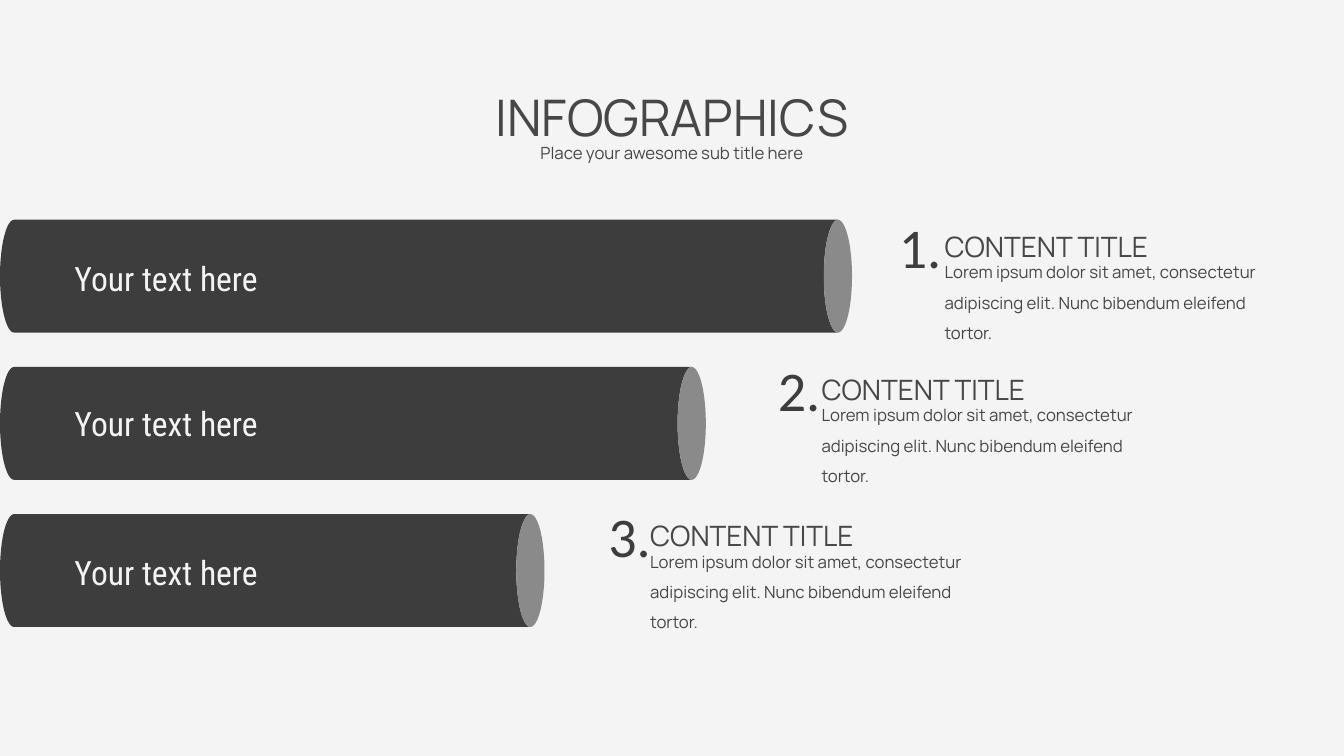
from pptx import Presentation
from pptx import util as u
from pptx.dml import color
from pptx.enum import shapes, text

theme = dict(
    back="F4F4F4", bar="3D3D3D", ink="474747",
    head=36, mark=40, label=24, topic=20, body=12,
    main="Manrope", thin="Roboto Condensed", digit="Calibri",
)
LEFT, CENTER, FULL = text.PP_ALIGN.LEFT, text.PP_ALIGN.CENTER, text.PP_ALIGN.JUSTIFY

deck = Presentation()
deck.slide_width, deck.slide_height = u.Inches(13.33), u.Inches(7.5)
slide = deck.slides.add_slide(deck.slide_layouts[5])
fill = slide.background.fill
fill.solid()
fill.fore_color.rgb = color.RGBColor.from_string(theme["back"])


def place(box, area, words, size, face="main", tint="ink", align=LEFT, gap=1.0):
    box.left, box.top, box.width, box.height = [u.Inches(n) for n in area]
    frame = box.text_frame
    frame.word_wrap = True
    frame.auto_size = text.MSO_AUTO_SIZE.SHAPE_TO_FIT_TEXT
    frame.vertical_anchor = text.MSO_ANCHOR.TOP
    frame.text = words
    para = frame.paragraphs[0]
    para.alignment, para.line_spacing = align, gap
    para.font.size = u.Pt(theme[size])
    para.font.name = theme[face]
    para.font.color.rgb = color.RGBColor.from_string(theme[tint])


def write(area, *args, **style):
    place(slide.shapes.add_textbox(0, 0, 0, 0), area, *args, **style)


side, span = 0.62, 12.09
write((side, 1.27, span, 0.31), "Place your awesome sub title here", "body",
      align=CENTER, gap=1.5)
place(slide.shapes.title, (side, 0.5, span, 1.01), "INFOGRAPHICS", "head",
      align=CENTER, gap=1.5)

thick, first, step = 1.12, 2.74, 1.46
lorem = "Lorem ipsum dolor sit amet, consectetur adipiscing elit. Nunc bibendum eleifend tortor."
rows = [
    (8.45, 2.51, 2.06, 8.78, 0.69, 9.27),
    (7.0, 3.95, 3.48, 7.57, 0.71, 8.05),
    (5.4, 5.43, 4.93, 5.83, 0.83, 6.35),
]
for i, (size, low, top, left, wide, col) in enumerate(rows):
    mid = first + i * step
    bar = slide.shapes.add_shape(
        shapes.MSO_SHAPE.CAN, u.Inches((size - thick) / 2), u.Inches(mid - size / 2),
        u.Inches(thick), u.Inches(size))
    bar.rotation = 90
    bar.shadow.inherit = False
    bar.fill.solid()
    bar.fill.fore_color.rgb = color.RGBColor.from_string(theme["bar"])
    bar.line.fill.background()
    write((0.64, low, 3.17, 0.5), "Your text here", "label", "thin", "back")
    write((left, top, wide, 0.77), f"{i + 1}.", "mark", "digit", "bar", align=CENTER)
    write((col, top + 0.39, 3.41, 1.01), lorem, "body", gap=1.5)
    write((col, top, 3.41, 0.61), "CONTENT TITLE", "topic", align=FULL, gap=1.5)

deck.save("out.pptx")
